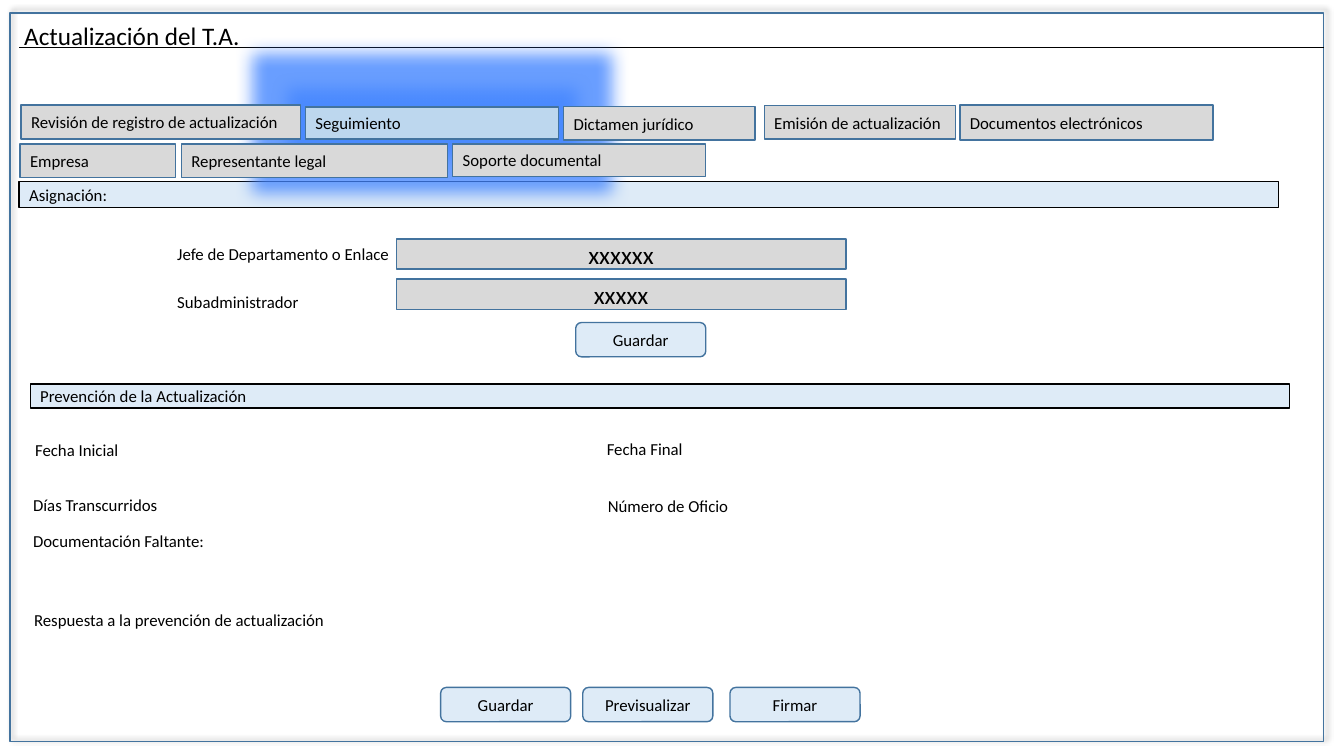
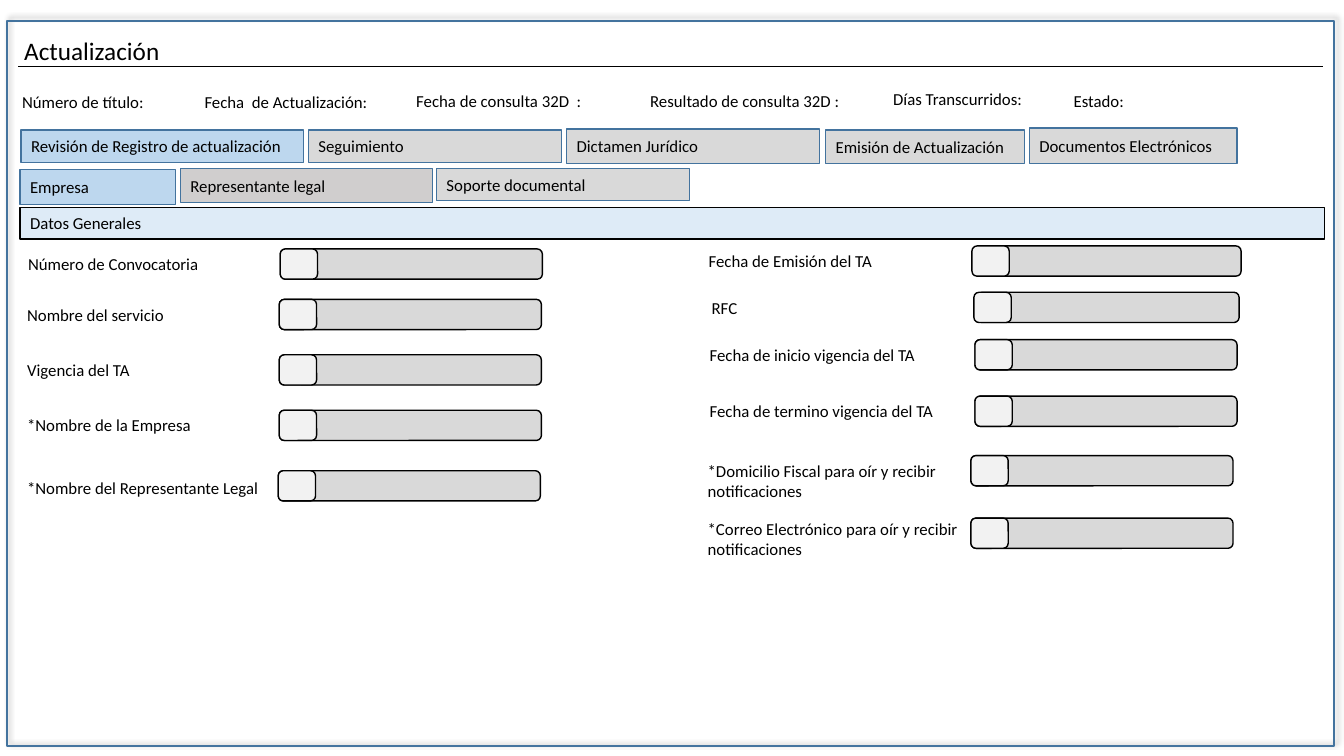
from lxml import etree
from pptx import Presentation
from pptx.dml.color import RGBColor
from pptx.enum import shapes, text
from pptx.oxml import ns
from pptx.util import Inches, Pt

FONT = "Calibri"
BLACK, BLUE = "000000", "43739E"
PALE, ACTIVE, GREY, WARM_GREY, WHITE_GREY = "DEEBF7", "BDD7EE", "D9D9D9", "D0CECE", "F2F2F2"
GLOW = "4486FF"
RECT, ROUND = shapes.MSO_SHAPE.RECTANGLE, shapes.MSO_SHAPE.ROUNDED_RECTANGLE
LABEL_H, FIELD_H = 0.3, 0.3
BUTTON = (1.29, 0.34)

# Each band, tab and entry: text, (left, top, width, height)
TRACKING = {
    "title": "Actualización del T.A.", "title_top": 0.15,
    "frame": (0.1, 0.13, 13.03, 7.23), "frame_line": 1, "rule": (0.19, 0.47, 13.13),
    "bands": [("Asignación:", (0.19, 1.8, 12.49, 0.26)),
              ("Prevención de la Actualización", (0.3, 3.81, 12.49, 0.24))],
    "tabs": [("Seguimiento", (3.03, 1.06, 2.51, 0.32), ACTIVE),
             ("Revisión de registro de actualización", (0.21, 1.04, 2.77, 0.34), GREY),
             ("Dictamen jurídico", (5.59, 1.06, 1.9, 0.33), GREY),
             ("Emisión de actualización", (7.58, 1.05, 1.9, 0.33), GREY),
             ("Documentos electrónicos", (9.52, 1.04, 2.51, 0.35), GREY),
             ("Empresa", (0.2, 1.43, 1.54, 0.33), GREY),
             ("Representante legal", (1.8, 1.43, 2.64, 0.33), GREY),
             ("Soporte documental", (4.49, 1.43, 2.51, 0.32), GREY)],
    # text, left, top, width
    "labels": [("Jefe de Departamento o Enlace", 1.66, 2.37, 3.37),
               ("Subadministrador", 1.66, 2.85, 3.37),
               ("Fecha Inicial", 0.25, 4.31, 3.37),
               ("Fecha Final", 5.92, 4.3, 3.77),
               ("Días Transcurridos", 0.23, 4.86, 3.37),
               ("Número de Oficio", 5.93, 4.87, 3.37),
               ("Documentación Faltante:", 0.23, 5.22, 4),
               ("Respuesta a la prevención de actualización", 0.24, 6, 4)],
}
ASSIGNEES = [("xxxxxx", 2.37), ("xxxxx", 2.77)]
BUTTONS = [("Guardar", 5.71, 3.2), ("Guardar", 4.37, 6.82),
           ("Previsualizar", 5.78, 6.82), ("Firmar", 7.24, 6.82)]

GENERAL = {
    "title": "Actualización", "title_top": 0.3,
    "frame": (0.07, 0.21, 13.16, 7.19), "frame_line": 1, "rule": (0.18, 0.66, 13.12),
    "bands": [("Datos Generales", (0.2, 2.06, 12.94, 0.31))],
    "tabs": [("Revisión de Registro de actualización", (0.21, 1.29, 2.8, 0.32), ACTIVE),
             ("Seguimiento", (3.06, 1.29, 2.51, 0.32), GREY),
             ("Dictamen Jurídico", (5.62, 1.28, 2.51, 0.34), GREY),
             ("Emisión de Actualización", (8.19, 1.29, 1.97, 0.33), GREY),
             ("Documentos Electrónicos", (10.21, 1.27, 2.06, 0.35), GREY),
             ("Empresa", (0.2, 1.68, 1.54, 0.35), ACTIVE),
             ("Representante legal", (1.79, 1.67, 2.5, 0.34), WARM_GREY),
             ("Soporte documental", (4.33, 1.67, 2.51, 0.32), GREY)],
    "labels": [("Número de título:", 0.12, 0.86, 1.69),
               ("Fecha  de Actualización:", 1.93, 0.86, 2.12),
               ("Fecha de consulta 32D  :", 4.03, 0.85, 2.12),
               ("Resultado de consulta 32D :", 6.35, 0.85, 2.12),
               ("Días Transcurridos:", 8.76, 0.83, 2.12),
               ("Estado:", 10.55, 0.85, 2.12)],
}
# label, label left, label top, cap left, bar left, field top
FIELDS = [("Número de Convocatoria", 0.18, 2.47, 2.78, 2.78, 2.47),
          ("Nombre del servicio", 0.17, 2.97, 2.77, 2.77, 2.97),
          ("Vigencia del TA", 0.17, 3.52, 2.77, 2.77, 3.52),
          ("*Nombre de la Empresa", 0.17, 4.07, 2.77, 2.77, 4.07),
          ("*Nombre del Representante Legal", 0.17, 4.69, 2.76, 2.76, 4.67),
          ("Fecha de Emisión del TA", 6.93, 2.44, 9.64, 9.71, 2.44),
          ("RFC", 6.96, 2.9, 9.66, 9.69, 2.9),
          ("Fecha de inicio vigencia del TA", 6.94, 3.37, 9.67, 9.67, 3.37),
          ("Fecha de termino vigencia del TA", 6.94, 3.93, 9.67, 9.67, 3.93),
          ("*Domicilio Fiscal para oír y recibir notificaciones", 6.92, 4.52, 9.63, 9.63, 4.52),
          ("*Correo Electrónico para oír y recibir notificaciones", 6.92, 5.1, 9.63, 9.63, 5.14)]
FIELD_LABEL_W, BAR_W, CAP_W = 2.75, 2.6, 0.37


def rgb(value):
    return RGBColor.from_string(value)


def write(sp, words, size=12, align="LEFT", anchor="TOP"):
    tf = sp.text_frame
    for name, value in {"word_wrap": True, "auto_size": text.MSO_AUTO_SIZE.NONE,
                        "vertical_anchor": getattr(text.MSO_ANCHOR, anchor)}.items():
        setattr(tf, name, value)
    p = tf.paragraphs[0]
    p.alignment = getattr(text.PP_ALIGN, align)
    r = p.add_run()
    r.text = words
    for name, value in {"name": FONT, "size": Pt(size), "bold": False}.items():
        setattr(r.font, name, value)
    r.font.color.rgb = rgb(BLACK)


def add_effect(sp, kind=None, color=BLACK, alpha=40, **attrs):
    """Replace the effects of a shape by one glow or shadow, or by none."""
    sp_pr = sp._element.spPr
    for old in sp_pr.findall(ns.qn("a:effectLst")):
        sp_pr.remove(old)
    effects = etree.SubElement(sp_pr, ns.qn("a:effectLst"))
    if kind:
        effect = etree.SubElement(effects, ns.qn(f"a:{kind}"),
                                  {name: str(value) for name, value in attrs.items()})
        clr = etree.SubElement(effect, ns.qn("a:srgbClr"), val=color)
        etree.SubElement(clr, ns.qn("a:alpha"), val=str(alpha * 1000))


def add_box(slide, at, fill, line=BLUE, words="", shape=RECT, **style):
    sp = slide.shapes.add_shape(shape, *map(Inches, at))
    sp.shadow.inherit = False
    if fill:
        sp.fill.solid()
        sp.fill.fore_color.rgb = rgb(fill)
    else:
        sp.fill.background()
    sp.line.color.rgb = rgb(line)
    sp.line.width = Pt(1)
    if words:
        write(sp, words, anchor="MIDDLE", **style)
    return sp


def add_label(slide, words, left, top, width, height=LABEL_H):
    write(slide.shapes.add_textbox(*map(Inches, (left, top, width, height))), words)


def add_screen(prs, screen):
    """Add a slide with the frame, title, rule, bands, tabs and labels of a screen."""
    slide = prs.slides.add_slide(prs.slide_layouts[5])
    frame = add_box(slide, screen["frame"], None)
    add_effect(frame, "outerShdw", blurRad=Pt(4), dist=Pt(3), dir=315 * 60000,
               algn="bl", rotWithShape=0)

    title = slide.shapes.title
    place = dict(left=0.14, top=screen["title_top"], width=5.11, height=0.4)
    for name, value in place.items():
        setattr(title, name, Inches(value))
    write(title, screen["title"], 18)

    left, top, right = screen["rule"]
    rule = slide.shapes.add_connector(shapes.MSO_CONNECTOR.STRAIGHT,
                                      *map(Inches, (left, top, right, top)))
    rule.line.color.rgb = rgb(BLACK)
    rule.line.width = Pt(0.5)
    add_effect(rule)

    for words, at in screen["bands"]:
        add_box(slide, at, PALE, BLACK, words)
    tabs = [add_box(slide, at, fill, words=words) for words, at, fill in screen["tabs"]]
    for label in screen["labels"]:
        add_label(slide, *label)
    return slide, tabs


def add_tracking(prs):
    slide, tabs = add_screen(prs, TRACKING)
    add_effect(tabs[0], "glow", GLOW, 80, rad=Inches(0.35))
    for words, top in ASSIGNEES:
        add_box(slide, (3.93, top, 4.46, FIELD_H), GREY, words=words, size=18, align="CENTER")
    for words, left, top in BUTTONS:
        add_box(slide, (left, top, *BUTTON), PALE, words=words, shape=ROUND, align="CENTER")


def add_general(prs):
    slide, _ = add_screen(prs, GENERAL)
    for words, left, top, cap_left, bar_left, field_top in FIELDS:
        add_box(slide, (bar_left, field_top, BAR_W, FIELD_H), GREY, BLACK, shape=ROUND)
        add_box(slide, (cap_left, field_top, CAP_W, FIELD_H), WHITE_GREY, BLACK, shape=ROUND)
        height = 0.5 if "notificaciones" in words else LABEL_H
        add_label(slide, words, left, top, FIELD_LABEL_W, height)


def main():
    prs = Presentation()
    prs.slide_width, prs.slide_height = Inches(13.33), Inches(7.5)
    add_tracking(prs)
    add_general(prs)
    prs.save("out.pptx")


if __name__ == "__main__":
    main()
